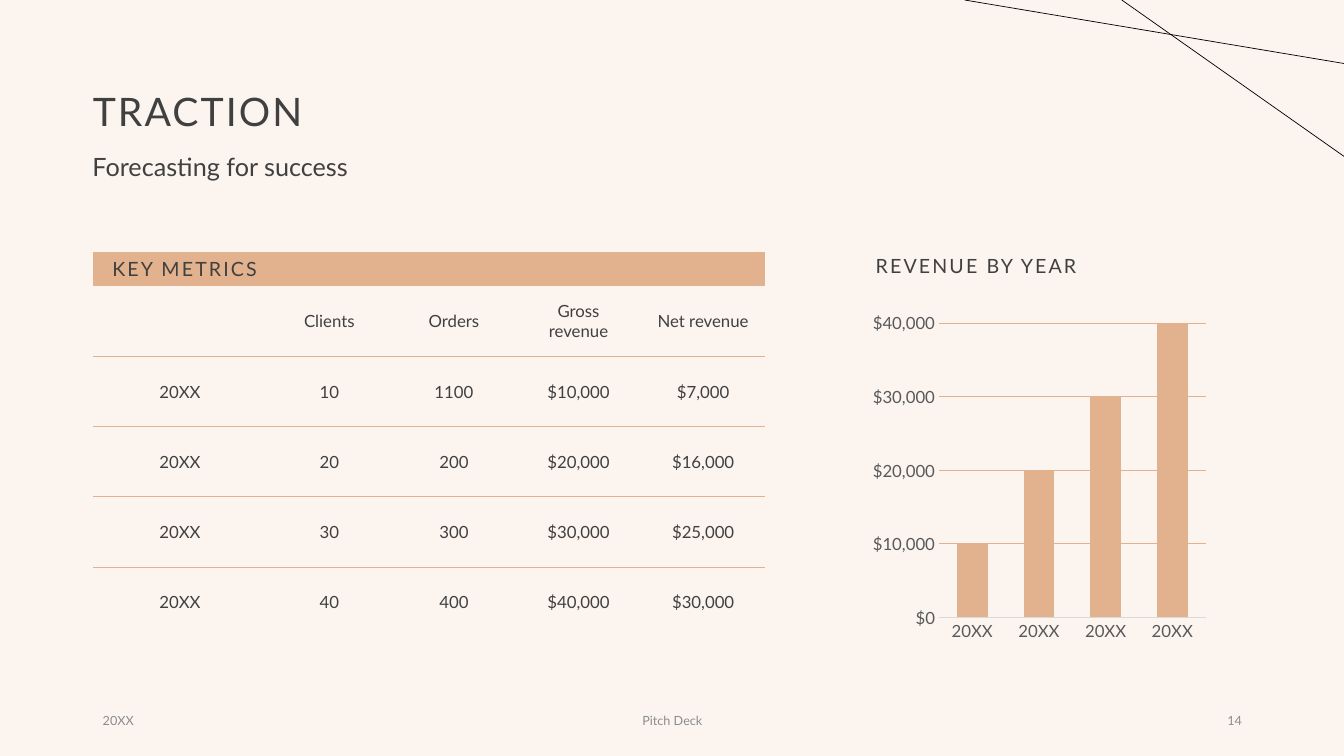
"""Build the traction slide with its key metrics table and revenue chart."""
from dataclasses import dataclass

import lxml.etree
import pptx
import pptx.chart.data
import pptx.dml.color
import pptx.enum.chart
import pptx.enum.shapes
import pptx.enum.text
import pptx.oxml.ns
import pptx.shapes.autoshape
import pptx.slide
import pptx.text.text
import pptx.util

Cm = pptx.util.Cm
Pt = pptx.util.Pt
qn = pptx.oxml.ns.qn
Align = pptx.enum.text.PP_ALIGN
Anchor = pptx.enum.text.MSO_ANCHOR

FONT = "Lato"
COLORS = {
    "background": "FBF4EF",
    "text": "404040",
    "accent": "E2B18D",
    "axis_text": "595959",
    "axis_line": "D9D9D9",
    "footer": "8C8C8C",
    "line": "000000",
}
PLAIN_TABLE_STYLE = "{2D5ABB26-0587-4C30-8999-92F81FD0307C}"
METRICS = [
    ["KEY METRICS", "", "", "", ""],
    ["", "Clients", "Orders", "Gross revenue", "Net revenue"],
    ["20XX", "10", "1100", "$10,000", "$7,000"],
    ["20XX", "20", "200", "$20,000", "$16,000"],
    ["20XX", "30", "300", "$30,000", "$25,000"],
    ["20XX", "40", "400", "$40,000", "$30,000"],
]
REVENUE = [10000, 20000, 30000, 40000]


@dataclass
class Label:
    """A text with its box in centimetres and its format."""

    text: str
    left: float
    top: float
    width: float
    height: float
    format: dict
    anchor: Anchor = Anchor.TOP
    inset: float = 0.25


@dataclass
class Stroke:
    """A decorative line with its ends in centimetres."""

    start: tuple[float, float]
    end: tuple[float, float]


HEADING = {"space_before": 10, "line_spacing": 0.9}
FOOTER = {"size": 9, "color": "footer"}
LABELS = [
    Label("TRACTION", 2.34, 1.02, 29.21, 3.68,
          {"size": 28, "tracking": 150, "line_spacing": 0.9}, Anchor.MIDDLE, 0),
    Label("Forecasting for success", 2.08, 3.78, 18.8, 1.37, {"size": 18, **HEADING}),
    Label("REVENUE BY YEAR", 21.82, 6.35, 8.74, 0.86, {"size": 14, "tracking": 150, **HEADING}),
    Label("20XX", 2.34, 17.65, 7.62, 1.02, FOOTER, Anchor.MIDDLE),
    Label("Pitch Deck", 11.23, 17.65, 11.43, 1.02, {**FOOTER, "align": Align.CENTER}, Anchor.MIDDLE),
    Label("14", 23.93, 17.65, 7.62, 1.02, {**FOOTER, "align": Align.RIGHT}, Anchor.MIDDLE),
]
STROKES = [Stroke((28.27, 0), (33.87, 3.94)), Stroke((24.31, 0), (33.87, 1.6))]


def rgb(name: str) -> pptx.dml.color.RGBColor:
    """Return the named colour."""
    return pptx.dml.color.RGBColor.from_string(COLORS[name])


def write_text(frame: pptx.text.text.TextFrame, text: str, *, size: float, color: str = "text",
               align: Align = Align.LEFT, tracking: int = 0, line_spacing: float = 1.0,
               space_before: float = 0) -> None:
    """Write one formatted paragraph into a text frame."""
    paragraph = frame.paragraphs[0]
    paragraph.alignment = align
    paragraph.line_spacing = line_spacing
    paragraph.space_before = Pt(space_before)
    if not text:
        ending = lxml.etree.SubElement(paragraph._p, qn("a:endParaRPr"))
        ending.set("sz", str(size * 100))
        return
    run = paragraph.add_run()
    run.text = text
    run.font.name = FONT
    run.font.size = Pt(size)
    run.font.color.rgb = rgb(color)
    run._r.get_or_add_rPr().set("spc", str(tracking))


def add_label(slide: pptx.slide.Slide, label: Label) -> None:
    """Add a text box."""
    box = slide.shapes.add_textbox(Cm(label.left), Cm(label.top), Cm(label.width), Cm(label.height))
    frame = box.text_frame
    frame.word_wrap = True
    frame.vertical_anchor = label.anchor
    frame.margin_left = Cm(label.inset)
    write_text(frame, label.text, **label.format)


def add_stroke(slide: pptx.slide.Slide, stroke: Stroke) -> None:
    """Add a thin straight line."""
    connector = slide.shapes.add_connector(
        pptx.enum.shapes.MSO_CONNECTOR.STRAIGHT, *map(Cm, stroke.start + stroke.end))
    connector.line.color.rgb = rgb("line")
    connector.line.width = Pt(0.5)
    lxml.etree.SubElement(connector._element.spPr, qn("a:effectLst"))


def add_bottom_border(cell: pptx.table._Cell) -> None:
    """Draw an accent line under a table cell."""
    border = lxml.etree.Element(qn("a:lnB"), w=str(Pt(1)))
    fill = lxml.etree.SubElement(border, qn("a:solidFill"))
    lxml.etree.SubElement(fill, qn("a:srgbClr"), val=COLORS["accent"])
    cell._tc.get_or_add_tcPr().insert(0, border)


def add_metrics(slide: pptx.slide.Slide) -> None:
    """Add the key metrics table."""
    widths = [4.39] + [3.14] * 4
    heights = [0.86] + [1.77] * 5
    frame = slide.shapes.add_table(len(heights), len(widths), Cm(2.34), Cm(6.35),
                                   Cm(sum(widths)), Cm(sum(heights)))
    table = frame.table
    table.first_row = table.horz_banding = False
    table._tbl.tblPr.find(qn("a:tableStyleId")).text = PLAIN_TABLE_STYLE
    for column, width in zip(table.columns, widths):
        column.width = Cm(width)
    for row, height in zip(table.rows, heights):
        row.height = Cm(height)
    for r, values in enumerate(METRICS):
        for c, value in enumerate(values):
            cell = table.cell(r, c)
            cell.vertical_anchor = Anchor.MIDDLE
            if r == 0:
                cell.fill.solid()
                cell.fill.fore_color.rgb = rgb("accent")
                write_text(cell.text_frame, value, size=14, tracking=150, align=Align.RIGHT)
            else:
                cell.fill.background()
                write_text(cell.text_frame, value, size=12, align=Align.CENTER)
            if 0 < r < len(METRICS) - 1:
                add_bottom_border(cell)


def add_revenue(slide: pptx.slide.Slide) -> None:
    """Add the revenue column chart."""
    revenue = pptx.chart.data.CategoryChartData()
    revenue.categories = ["20XX"] * len(REVENUE)
    revenue.add_series("Series 1", REVENUE)
    chart = slide.shapes.add_chart(pptx.enum.chart.XL_CHART_TYPE.COLUMN_CLUSTERED,
                                   Cm(21.82), Cm(7.72), Cm(8.74), Cm(8.61), revenue).chart
    chart.has_legend = chart.has_title = False
    chart.font.name = FONT
    chart.font.size = Pt(10)
    for axis in (chart.category_axis, chart.value_axis):
        axis.major_tick_mark = axis.minor_tick_mark = pptx.enum.chart.XL_TICK_MARK.NONE
        axis.tick_labels.font.name = FONT
        axis.tick_labels.font.size = Pt(12)
        axis.tick_labels.font.color.rgb = rgb("axis_text")
    years, dollars = chart.category_axis, chart.value_axis
    years.format.line.color.rgb = rgb("axis_line")
    years.format.line.width = Pt(0.75)
    dollars.format.line.fill.background()
    dollars.minimum_scale, dollars.maximum_scale, dollars.major_unit = 0, 40000, 10000
    dollars.major_gridlines.format.line.color.rgb = rgb("accent")
    dollars.major_gridlines.format.line.width = Pt(0.75)
    dollars.tick_labels.number_format = "[$$-409]#,##0"
    dollars.tick_labels.number_format_is_linked = False
    plot = chart.plots[0]
    plot.gap_width, plot.overlap, plot.vary_by_categories = 118, -3, False
    bars = plot.series[0].format.fill
    bars.solid()
    bars.fore_color.rgb = rgb("accent")


def main() -> None:
    """Build and save the slide."""
    deck = pptx.Presentation()
    deck.slide_width, deck.slide_height = Cm(33.87), Cm(19.05)
    slide = deck.slides.add_slide(deck.slide_layouts[6])
    slide.background.fill.solid()
    slide.background.fill.fore_color.rgb = rgb("background")
    for label in LABELS:
        add_label(slide, label)
    add_metrics(slide)
    add_revenue(slide)
    for stroke in STROKES:
        add_stroke(slide, stroke)
    deck.save("out.pptx")


if __name__ == "__main__":
    main()
